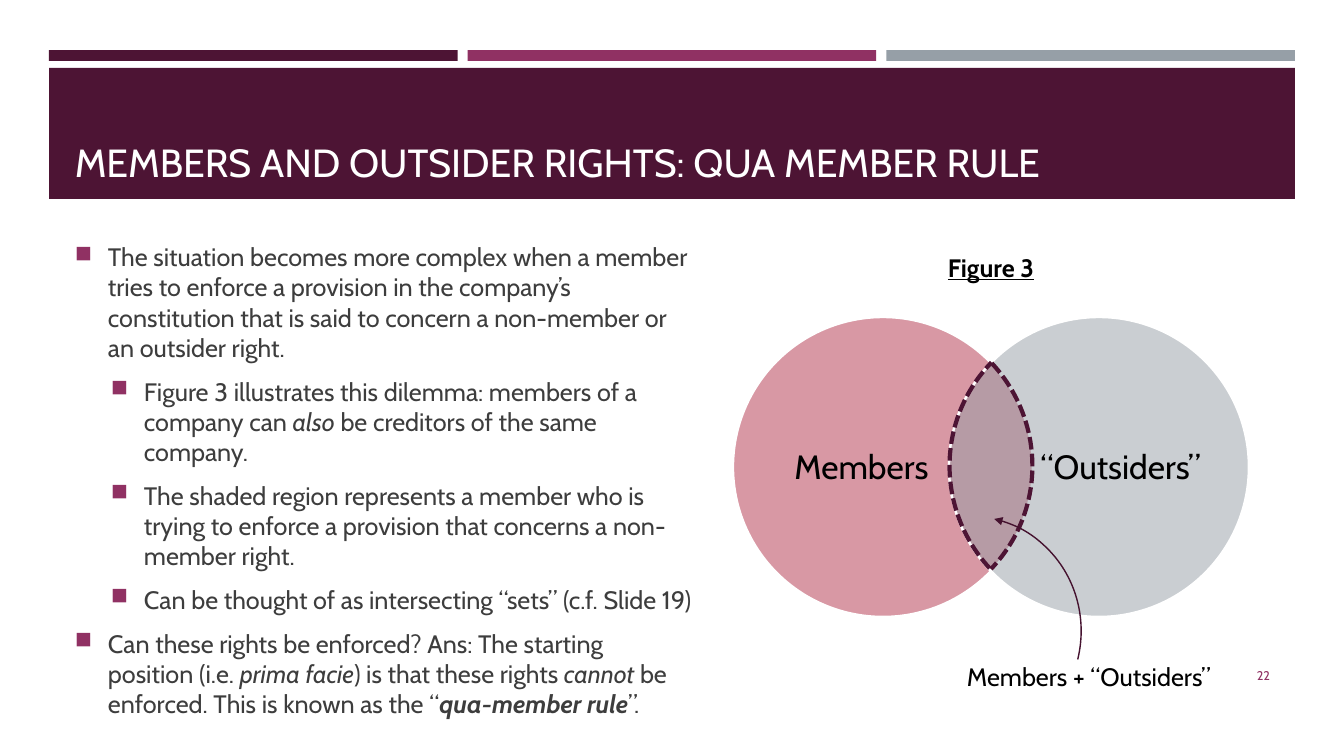
"""Build the slide on members, outsider rights and the qua-member rule."""
from dataclasses import dataclass

from lxml import etree
from pptx import Presentation
from pptx.dml.color import RGBColor
from pptx.enum.dml import MSO_LINE
from pptx.enum.shapes import MSO_SHAPE
from pptx.enum.text import MSO_ANCHOR, PP_ALIGN
from pptx.oxml.ns import qn
from pptx.util import Pt

RECT, OVAL, ARC = MSO_SHAPE.RECTANGLE, MSO_SHAPE.OVAL, MSO_SHAPE.ARC
TOP, MIDDLE, BOTTOM = MSO_ANCHOR.TOP, MSO_ANCHOR.MIDDLE, MSO_ANCHOR.BOTTOM
LEFT, CENTER, RIGHT = PP_ALIGN.LEFT, PP_ALIGN.CENTER, PP_ALIGN.RIGHT
SHORT_DASH = MSO_LINE.SQUARE_DOT


@dataclass(frozen=True)
class Theme:
    """Font, colours and type sizes."""
    font: str = "Cabin"
    plum: str = "4D1434"
    arrow: str = "45122F"
    magenta: str = "903163"
    gray: str = "969FA7"
    rose: str = "B2324B"
    body: str = "3D3D3D"
    black: str = "000000"
    white: str = "FFFFFF"
    title_size: int = 28
    set_size: int = 24
    text_size: int = 18
    number_size: int = 9


THEME = Theme()

TITLE = "MEMBERS AND OUTSIDER RIGHTS: QUA MEMBER RULE"
POINTS = [
    (0, [("The situation becomes more complex when a member tries to enforce a provision "
          "in the company’s constitution that is said to concern a non-member or an "
          "outsider right.", "")]),
    (1, [("Figure 3 illustrates this dilemma: members of a company can ", ""),
         ("also", "i"), (" be creditors of the same company.", "")]),
    (1, [("The shaded region represents a member who is trying to enforce a provision "
          "that concerns a non-member right.", "")]),
    (1, [("Can be thought of as intersecting “sets” (c.f. Slide 19)", "")]),
    (0, [("Can these rights be enforced? Ans: The starting position (i.e. ", ""),
         ("prima facie", "i"), (") is that these rights ", ""), ("cannot", "i"),
         (" be enforced. This is known as the “", ""), ("qua-member rule", "bi"),
         ("”.", "")]),
]
FIGURE = "Figure 3"
SETS = [("Members", THEME.rose, 733, 775), ("“Outsiders”", THEME.gray, 949, 1034)]
OVERLAP = "Members + “Outsiders”"
PAGE = "22"

SLIDE_W, SLIDE_H = 1344, 756
SCALE = 12192000 / SLIDE_W
BAND_LEFT, BAND_W, STRIPE_GAP = 49, 1246, 10
SET_TOP, SET_SIZE = 317, 300
LABEL_TOP, LABEL_W, LABEL_H = 352, 173, 229
HANG, LEVEL_STEP = 33, 36


def emu(px):
    return round(px * SCALE)


def color(value):
    return RGBColor.from_string(value)


def add_shape(slide, kind, box, fill=None, line=None, weight=1):
    shape = slide.shapes.add_shape(kind, *map(emu, box))
    shape.shadow.inherit = False
    if fill:
        shape.fill.solid()
        shape.fill.fore_color.rgb = color(fill)
    else:
        shape.fill.background()
    if line:
        shape.line.color.rgb = color(line)
        shape.line.width = Pt(weight)
    else:
        shape.line.fill.background()
    return shape


def add_arc(slide, box, rotation, end, line, weight):
    arc = add_shape(slide, ARC, box, line=line, weight=weight)
    arc.adjustments[0], arc.adjustments[1] = 162, end
    arc.rotation = rotation
    return arc


def add_run(paragraph, text, size, ink, style=""):
    run = paragraph.add_run()
    run.text = text
    font = run.font
    font.name, font.size, font.color.rgb = THEME.font, Pt(size), color(ink)
    font.bold, font.italic, font.underline = (mark in style for mark in "biu")


def add_frame(slide, box, anchor, wrap=True):
    frame = slide.shapes.add_textbox(*map(emu, box)).text_frame
    frame.word_wrap, frame.vertical_anchor = wrap, anchor
    return frame


def add_label(slide, box, text, size, ink, anchor=MIDDLE, align=LEFT, style="", wrap=True):
    frame = add_frame(slide, box, anchor, wrap)
    frame.paragraphs[0].alignment = align
    add_run(frame.paragraphs[0], text, size, ink, style)
    return frame


def add_bullet(paragraph, level):
    props = paragraph._p.get_or_add_pPr()
    props.set("marL", str(emu(HANG + level * LEVEL_STEP)))
    props.set("indent", str(emu(-HANG)))
    tint = etree.SubElement(props, qn("a:buClr"))
    etree.SubElement(tint, qn("a:srgbClr"), val=THEME.magenta)
    etree.SubElement(props, qn("a:buSzPct"), val="92000")
    etree.SubElement(props, qn("a:buChar"), char="■")


def add_header(slide):
    stripe_w = (BAND_W - 2 * STRIPE_GAP) / 3
    for i, fill in enumerate((THEME.plum, THEME.magenta, THEME.gray)):
        left = BAND_LEFT + i * (stripe_w + STRIPE_GAP)
        add_shape(slide, RECT, (left, 50, stripe_w, 11), fill)
    add_shape(slide, RECT, (BAND_LEFT, 68, BAND_W, 131), THEME.plum)
    add_label(slide, (65, 78, 1216, 112), TITLE, THEME.title_size, THEME.white, BOTTOM)


def add_points(slide):
    frame = add_frame(slide, (65, 240, 638, 480), MIDDLE)
    for i, (level, runs) in enumerate(POINTS):
        point = frame.add_paragraph() if i else frame.paragraphs[0]
        point.level = level
        add_bullet(point, level)
        point.space_before, point.space_after = Pt(3.6 if i else 0), Pt(6)
        for text, style in runs:
            add_run(point, text, THEME.text_size, THEME.body, style)


def add_figure(slide):
    add_label(slide, (861, 247, 260, 40), FIGURE, THEME.text_size, THEME.black,
              align=CENTER, style="bu")
    for name, fill, left, label_left in SETS:
        circle = add_shape(slide, OVAL, (left, SET_TOP, SET_SIZE, SET_SIZE), fill,
                           THEME.white, 1.75)
        tint = circle._element.spPr.find(qn("a:solidFill")).find(qn("a:srgbClr"))
        etree.SubElement(tint, qn("a:alpha"), val="50000")
        frame = add_label(slide, (label_left, LABEL_TOP, LABEL_W, LABEL_H), name,
                          THEME.set_size, THEME.black, align=CENTER)
        frame.margin_left = frame.margin_right = 0
        frame.margin_top = frame.margin_bottom = 0
    for (_, _, left, _), top, rotation in zip(SETS, (316, 318), (46.9, 227.2)):
        edge = add_arc(slide, (left, top, SET_SIZE, 298), rotation, 214.21, THEME.plum, 3)
        edge.line.dash_style = SHORT_DASH
    pointer = add_arc(slide, (855, 516, 226, 233), 13, 0.5, THEME.arrow, 1)
    etree.SubElement(pointer.line._get_or_add_ln(), qn("a:headEnd"), type="triangle")
    add_label(slide, (957, 656, 265, 40), OVERLAP, THEME.text_size, THEME.black, TOP,
              wrap=False)


def main():
    deck = Presentation()
    deck.slide_width, deck.slide_height = emu(SLIDE_W), emu(SLIDE_H)
    slide = deck.slides.add_slide(deck.slide_layouts[6])
    add_header(slide)
    add_points(slide)
    add_figure(slide)
    add_label(slide, (1164, 656, 116, 40), PAGE, THEME.number_size, THEME.magenta,
              align=RIGHT)
    deck.save("out.pptx")


if __name__ == "__main__":
    main()
